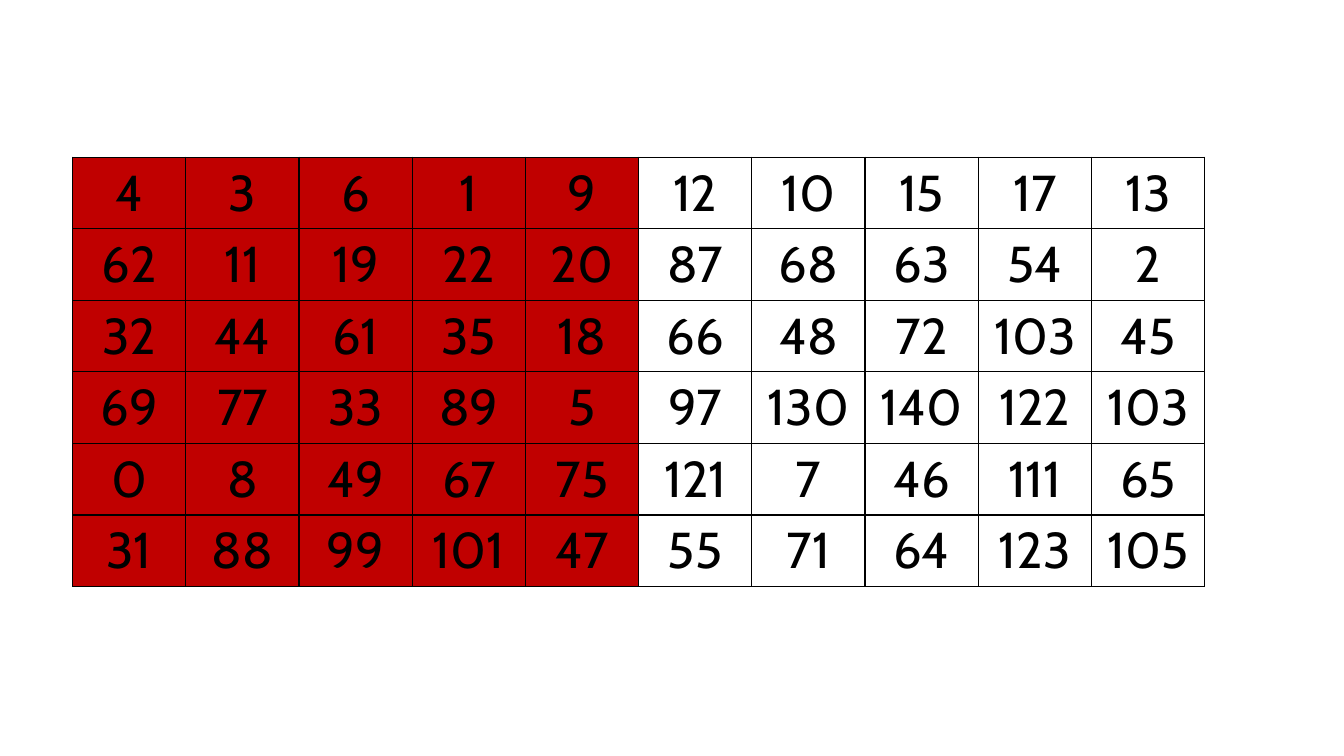
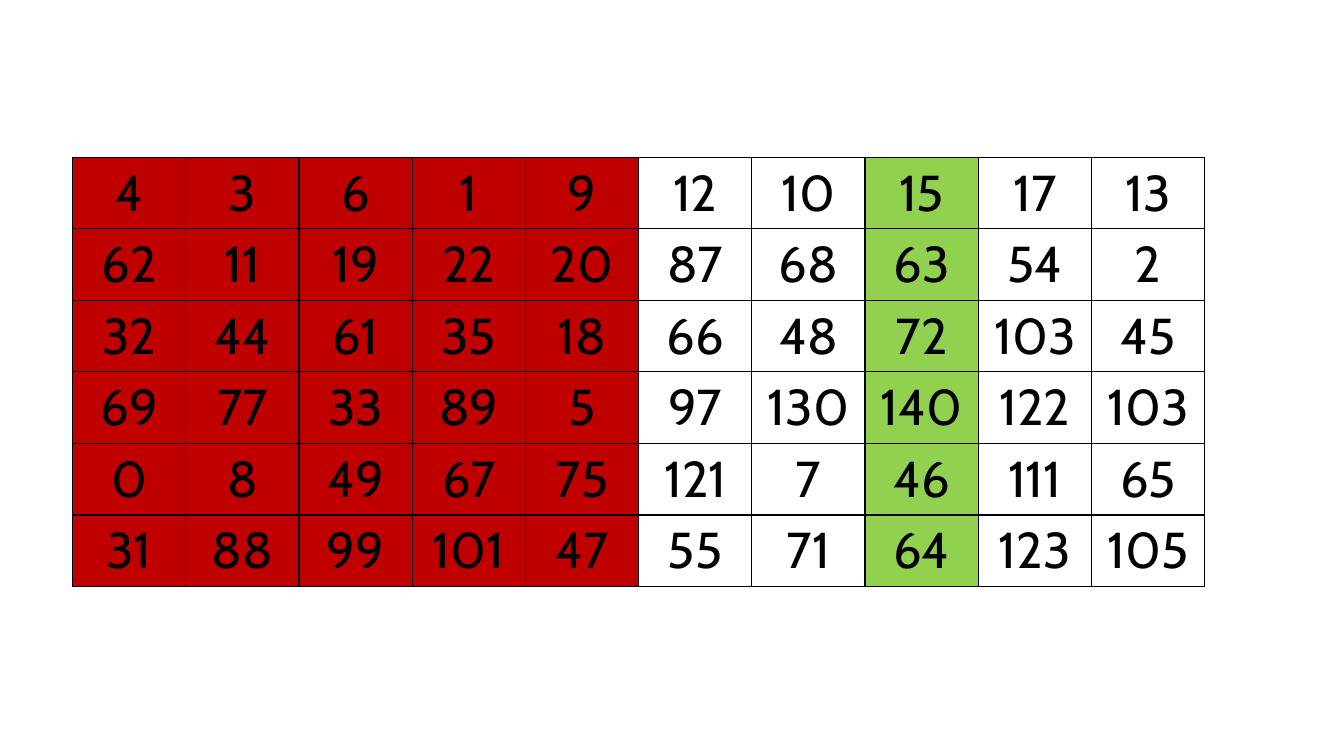
from pptx import Presentation, util as u
from pptx.dml.color import RGBColor
from pptx.enum import text
from pptx.oxml import parse_xml
from pptx.oxml.ns import nsdecls

BLACK, RED, GREEN = "000000", "C00000", "92D050"
FONT = "Cabin"
LEFT, TOP, WIDTH, ROW = 0.72, 1.56, 11.23, 0.71
GRID = [
    [4, 3, 6, 1, 9, 12, 10, 15, 17, 13],
    [62, 11, 19, 22, 20, 87, 68, 63, 54, 2],
    [32, 44, 61, 35, 18, 66, 48, 72, 103, 45],
    [69, 77, 33, 89, 5, 97, 130, 140, 122, 103],
    [0, 8, 49, 67, 75, 121, 7, 46, 111, 65],
    [31, 88, 99, 101, 47, 55, 71, 64, 123, 105],
]


def color(code):
    return RGBColor.from_string(code)


def write(cell, words, size=36, ink=BLACK, fill=None):
    para = cell.text_frame.paragraphs[0]
    para.alignment = text.PP_ALIGN.CENTER
    run = para.add_run()
    run.text = words
    run.font.name = FONT
    run.font.size = u.Pt(size)
    run.font.color.rgb = color(ink)
    props = cell._tc.get_or_add_tcPr()
    for side in "LRTB":
        props.append(parse_xml(
            f'<a:ln{side} {nsdecls("a")} w="{u.Pt(1)}"><a:solidFill>'
            f'<a:srgbClr val="{BLACK}"/></a:solidFill></a:ln{side}>'))
    if fill:
        cell.fill.solid()
        cell.fill.fore_color.rgb = color(fill)
    else:
        cell.fill.background()


deck = Presentation()
deck.slide_width = u.Inches(13.33)
deck.slide_height = u.Inches(7.5)

reds = dict.fromkeys(range(5), RED)
for fills in (reds, {**reds, 7: GREEN}):
    slide = deck.slides.add_slide(deck.slide_layouts[6])
    table = slide.shapes.add_table(
        len(GRID), len(GRID[0]), u.Inches(LEFT), u.Inches(TOP),
        u.Inches(WIDTH), u.Inches(ROW * len(GRID))).table
    table.first_row = table.horz_banding = False
    for r, row in enumerate(GRID):
        for c, value in enumerate(row):
            write(table.cell(r, c), str(value), fill=fills.get(c))

deck.save("out.pptx")
